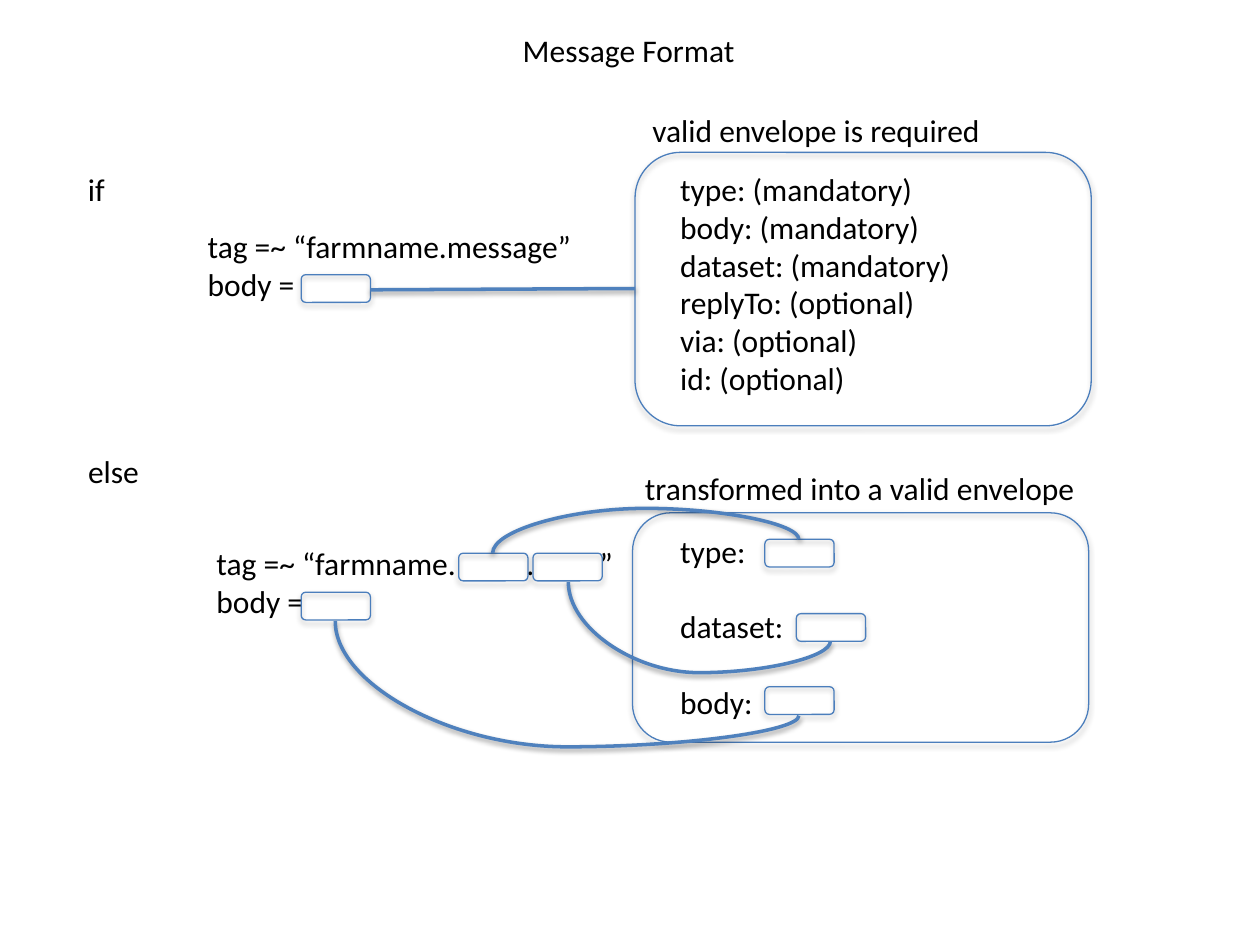
from lxml import etree
from pptx import Presentation
from pptx.dml.color import RGBColor
from pptx.enum import shapes, text
from pptx.oxml import ns
from pptx.util import Inches, Pt

BLACK = RGBColor(0x00, 0x00, 0x00)
OUTLINE = RGBColor(0x4B, 0x7E, 0xBC)
LINK = RGBColor(0x4F, 0x81, 0xBD)
SLOT_WIDTH, SLOT_HEIGHT = 0.55, 0.22


def child(parent, tag, **attributes):
    return etree.SubElement(parent, ns.qn(tag), attributes)


def cast_shadow(element, distance, opacity):
    effects = child(element.spPr, "a:effectLst")
    shadow = child(effects, "a:outerShdw", blurRad=str(Pt(3.1)),
                   dist=str(Pt(distance)), dir="5400000", rotWithShape="0")
    color = child(shadow, "a:srgbClr", val=str(BLACK))
    child(color, "a:alpha", val=str(opacity * 1000))


def add_text(slide, lines, left, top, width, height, size=18, font="Calibri",
             color=BLACK, wrap=False, gap=0, tabs=()):
    label = slide.shapes.add_textbox(
        Inches(left), Inches(top), Inches(width), Inches(height))
    frame = label.text_frame
    frame.word_wrap = wrap
    frame.auto_size = text.MSO_AUTO_SIZE.SHAPE_TO_FIT_TEXT
    frame.text = "\n".join(lines)
    for index, paragraph in enumerate(frame.paragraphs):
        if index and gap:
            paragraph.space_before = Pt(gap)
        paragraph.font.size = Pt(size)
        for run in paragraph.runs:
            run.font.size = Pt(size)
            run.font.name = font
            run.font.color.rgb = color
    if tabs:
        stops = etree.Element(ns.qn("a:tabLst"))
        for position in tabs:
            child(stops, "a:tab", pos=str(Inches(position)), algn="l")
        frame.paragraphs[0]._p.get_or_add_pPr().insert(0, stops)


def add_box(slide, left, top, width=SLOT_WIDTH, height=SLOT_HEIGHT):
    box = slide.shapes.add_shape(
        shapes.MSO_SHAPE.ROUNDED_RECTANGLE,
        Inches(left), Inches(top), Inches(width), Inches(height))
    box.fill.background()
    box.line.color.rgb = OUTLINE
    box.line.width = Pt(0.75)
    cast_shadow(box.element, 1.8, 35)


def add_link(slide, kind, start, end):
    link = slide.shapes.add_connector(
        kind, *(Inches(length) for length in (*start, *end)))
    link.line.color.rgb = LINK
    link.line.width = Pt(2)
    cast_shadow(link.element, 1.6, 38)
    return link


def add_curve(slide, start, end, bend):
    (x1, y1), (x2, y2) = start, end
    rising = y2 < y1
    middle_x, middle_y = (x1 + x2) / 2, (y1 + y2) / 2
    half_width, half_height = abs(y2 - y1) / 2, (x2 - x1) / 2
    if rising:
        half_height = -half_height
    curve = add_link(slide, shapes.MSO_CONNECTOR.CURVE,
                     (middle_x + half_width, middle_y - half_height),
                     (middle_x - half_width, middle_y + half_height))
    properties = curve.element.spPr
    turn = 90 if rising else 270
    properties.find(ns.qn("a:xfrm")).set("rot", str(turn * 60000))
    geometry = properties.find(ns.qn("a:prstGeom"))
    adjustments = geometry.find(ns.qn("a:avLst"))
    if adjustments is None:
        adjustments = child(geometry, "a:avLst")
    child(adjustments, "a:gd", name="adj1", fmla=f"val {round(bend * 100000)}")


def add_valid_branch(slide):
    add_text(slide, ["if"], 0.6, 1.3, 0.34, 0.4)
    add_text(slide, ["valid envelope is required"], 5.08, 0.83, 2.84, 0.4)
    add_box(slide, 5.04, 1.21, 3.62, 2.17)
    fields = {"mandatory": ("type", "body", "dataset"),
              "optional": ("replyTo", "via", "id")}
    add_text(slide, [f"{name}: ({need})" for need, names in fields.items()
                     for name in names], 5.3, 1.3, 2.38, 1.92)
    add_text(slide, ["tag =~ “farmname.message”", "body ="],
             1.55, 1.75, 3.13, 0.71)
    add_box(slide, 2.39, 2.18)
    add_link(slide, shapes.MSO_CONNECTOR.STRAIGHT, (2.94, 2.3), (5.04, 2.29))


def add_transformed_branch(slide):
    add_text(slide, ["else"], 0.6, 3.54, 0.61, 0.4)
    add_text(slide, ["tag =~ “farmname.\t.\t”", "body ="],
             1.62, 4.27, 3.5, 0.71, wrap=True, tabs=(2.46, 3.04))
    add_box(slide, 5.02, 4.07, 3.62, 1.82)
    add_text(slide, ["type:", "dataset:", "body:"],
             5.3, 4.17, 1.04, 1.62, gap=21.6)
    for left, top in ((3.64, 4.39), (4.23, 4.39), (2.39, 4.7),
                      (6.07, 4.28), (6.32, 4.87), (6.07, 5.45)):
        add_box(slide, left, top)
    for start, end, bend in (((2.66, 4.93), (6.34, 5.68), 1.33),
                             ((3.91, 4.39), (6.34, 4.28), 3.23),
                             ((4.51, 4.62), (6.59, 5.09), 1.53)):
        add_curve(slide, start, end, bend)
    add_text(slide, ["transformed into a valid envelope"],
             5.02, 3.67, 3.8, 0.4)


def main():
    deck = Presentation()
    deck.slide_width, deck.slide_height = Inches(10), Inches(7.5)
    slide = deck.slides.add_slide(deck.slide_layouts[6])
    add_text(slide, ["Message Format"], 4.05, 0.2, 1.91, 0.4)
    add_valid_branch(slide)
    add_transformed_branch(slide)
    deck.save("out.pptx")


main()
